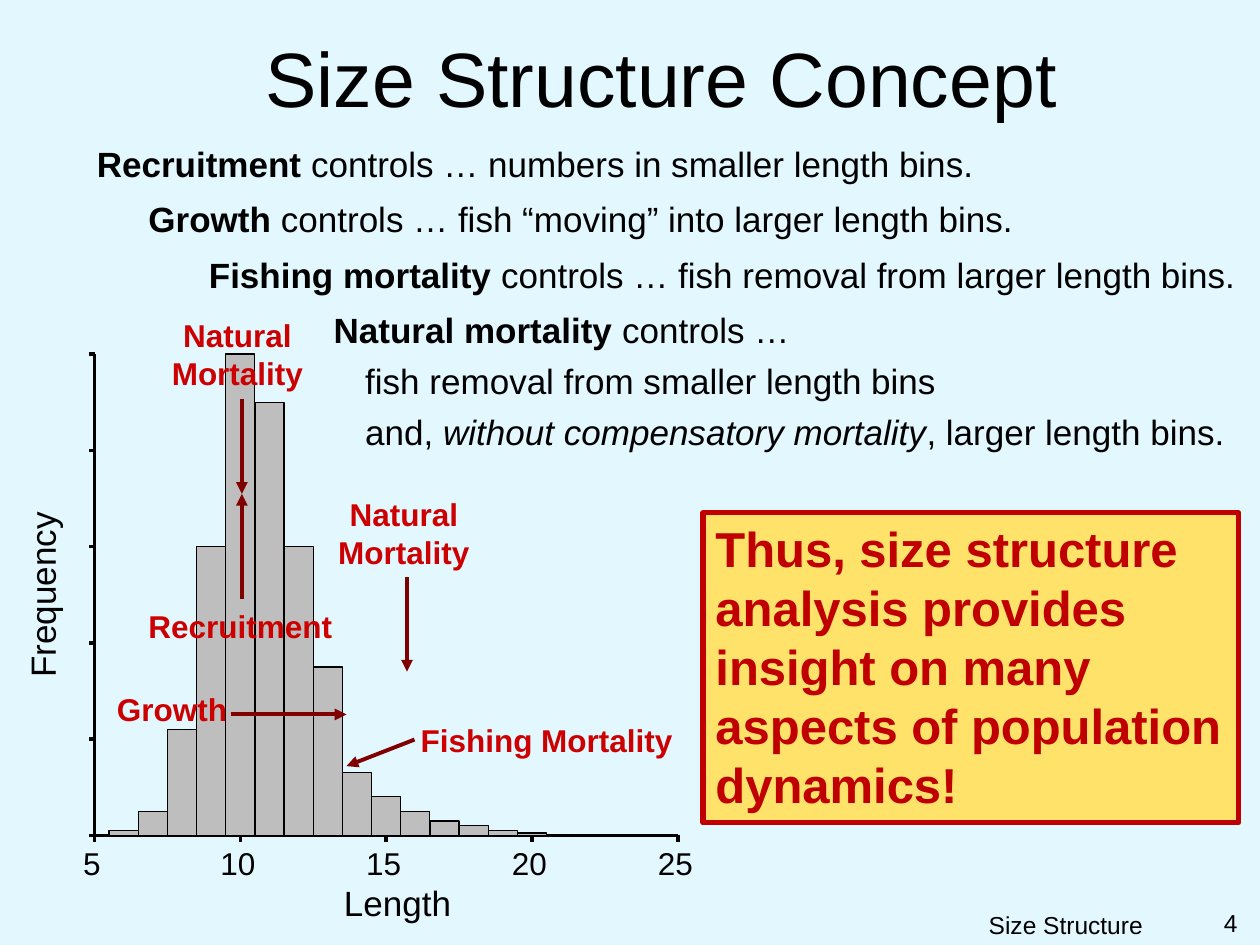
from pptx import Presentation
from pptx.dml.color import RGBColor
from pptx.enum.shapes import MSO_CONNECTOR, MSO_SHAPE
from pptx.enum.text import MSO_ANCHOR, PP_ALIGN
from pptx.oxml.ns import qn
from pptx.util import Inches, Pt

LEFT, CENTER, RIGHT = PP_ALIGN.LEFT, PP_ALIGN.CENTER, PP_ALIGN.RIGHT
TOP, MIDDLE = MSO_ANCHOR.TOP, MSO_ANCHOR.MIDDLE
STRAIGHT, RECT = MSO_CONNECTOR.STRAIGHT, MSO_SHAPE.RECTANGLE

FONT = "Arial"
BLACK, RED, MAROON, BRICK = "000000", "CC0000", "800000", "C00000"
SKY, GRAY, GOLD = "E2F7FE", "BEBEBE", "FFE269"

# Frequency of each length bin, from 6 upward, relative to the mode
COUNTS = [1, 5, 22, 60, 100, 90, 60, 35, 13, 8, 5, 3, 2, 1, 0.5, 0.2]
FIRST_BIN = 6
AXIS_X, BASE_Y = 0.75, 6.63
BIN_W, UNIT_H = 0.2315, 0.0382

CONTROLS = [
    (0.67, 1.08, 7.33, "Recruitment", " controls … numbers in smaller length bins."),
    (1.08, 1.52, 7.08, "Growth", " controls … fish “moving” into larger length bins."),
    (1.56, 1.96, 8.44, "Fishing mortality",
     " controls … fish removal from larger length bins."),
]

LABELS = [
    (1.08, 4.77, 1.67, 0.4, "Recruitment", LEFT),
    (0.83, 5.43, 1.2, 0.4, "Growth", LEFT),
    (3.24, 5.67, 2.25, 0.4, "Fishing Mortality", LEFT),
    (1.25, 2.46, 1.27, 0.71, "Natural Mortality", CENTER),
    (2.57, 3.88, 1.27, 0.71, "Natural Mortality", CENTER),
]

ARROWS = [
    (1.92, 4.75, 1.92, 3.92),
    (1.83, 5.67, 2.75, 5.67),
    (3.29, 5.87, 2.75, 6.08),
    (1.92, 3.17, 1.92, 3.92),
    (3.23, 4.58, 3.23, 5.33),
]


def rgb(code):
    return RGBColor.from_string(code)


def style(para, size, color=BLACK, bold=None, align=LEFT):
    para.alignment = align
    font = para.font
    font.name, font.size, font.bold = FONT, Pt(size), bold
    font.color.rgb = rgb(color)


def add_runs(para, *parts):
    """Add (text, bold, italic) parts to a paragraph."""
    for text, bold, italic in parts:
        run = para.add_run()
        run.text = text
        run.font.bold, run.font.italic = bold, italic


def add_box(slide, x, y, w, h, inset=True):
    box = slide.shapes.add_textbox(Inches(x), Inches(y), Inches(w), Inches(h))
    frame = box.text_frame
    frame.word_wrap = True
    if not inset:
        frame.margin_left = frame.margin_right = 0
        frame.margin_top = frame.margin_bottom = 0
    return box


def add_text(slide, x, y, w, h, text, size, color=BLACK, bold=None,
             align=LEFT, inset=True):
    box = add_box(slide, x, y, w, h, inset)
    para = box.text_frame.paragraphs[0]
    para.text = text
    style(para, size, color, bold, align)
    return box


def add_rect(slide, x, y, w, h, fill, line, width):
    rect = slide.shapes.add_shape(RECT, Inches(x), Inches(y), Inches(w), Inches(h))
    rect.shadow.inherit = False
    rect.fill.solid()
    rect.fill.fore_color.rgb = rgb(fill)
    rect.line.color.rgb = rgb(line)
    rect.line.width = Pt(width)
    return rect


def add_line(slide, x1, y1, x2, y2, color=BLACK, width=0, arrow=False):
    line = slide.shapes.add_connector(
        STRAIGHT, Inches(x1), Inches(y1), Inches(x2), Inches(y2))
    line.line.color.rgb = rgb(color)
    line.line.width = Pt(width)
    props = line._element.spPr
    if arrow:
        ln = props.find(qn("a:ln"))
        ln.append(ln.makeelement(qn("a:tailEnd"), {"type": "triangle"}))
    props.append(props.makeelement(qn("a:effectLst"), {}))


def add_title(slide, text):
    title = slide.shapes.title
    title.left, title.top = Inches(0.07), Inches(0.13)
    title.width, title.height = Inches(9.86), Inches(0.95)
    title.text_frame.vertical_anchor = MIDDLE
    para = title.text_frame.paragraphs[0]
    para.text = text
    style(para, 44, align=CENTER)


def length_x(length):
    return AXIS_X + (length - 5) * BIN_W


def add_axes(slide):
    top = BASE_Y - 100 * UNIT_H
    add_line(slide, AXIS_X, BASE_Y, length_x(25), BASE_Y)
    add_line(slide, AXIS_X, BASE_Y, AXIS_X, top)
    for length in range(5, 26, 5):
        x = length_x(length)
        add_line(slide, x, BASE_Y, x, BASE_Y + 0.05)
        add_text(slide, x - 0.22, 6.7, 0.4, 0.3, str(length), 18,
                 align=CENTER, inset=False)
    for count in range(0, 101, 20):
        y = BASE_Y - count * UNIT_H
        add_line(slide, AXIS_X, y, AXIS_X - 0.04, y)
    add_text(slide, 2.73, 7, 0.9, 0.34, "Length", 20, inset=False)
    name = add_text(slide, -0.33, 4.55, 1.33, 0.34, "Frequency", 20,
                    align=CENTER, inset=False)
    name.rotation = 270


def add_bars(slide):
    for size, count in enumerate(COUNTS, FIRST_BIN):
        tall = count * UNIT_H
        add_rect(slide, length_x(size - 0.5), BASE_Y - tall, BIN_W, tall,
                 GRAY, BLACK, 0)


def add_controls(slide):
    for x, y, w, lead, rest in CONTROLS:
        para = add_box(slide, x, y, w, 0.44).text_frame.paragraphs[0]
        style(para, 20)
        add_runs(para, (lead, True, None), (rest, None, None))


def add_natural(slide):
    frame = add_box(slide, 2.55, 2.4, 7.28, 1.25).text_frame
    head = frame.paragraphs[0]
    style(head, 20)
    add_runs(head, ("Natural mortality", True, None), (" controls …", None, None))
    details = [
        [("fish removal from smaller length bins", None, None)],
        [("and, ", None, None),
         ("without compensatory mortality", None, True),
         (", larger length bins.", None, None)],
    ]
    for parts in details:
        para = frame.add_paragraph()
        style(para, 20)
        para.space_before = Pt(5)
        para._p.get_or_add_pPr().set("marL", str(Inches(0.25)))
        add_runs(para, *parts)


def add_callout(slide, text):
    rect = add_rect(slide, 5.58, 4.07, 4.25, 2.46, GOLD, BRICK, 3)
    frame = rect.text_frame
    frame.word_wrap = True
    frame.vertical_anchor = TOP
    para = frame.paragraphs[0]
    para.text = text
    style(para, 28, BRICK, True)


def main():
    deck = Presentation()
    deck.slide_width, deck.slide_height = Inches(10), Inches(7.5)
    slide = deck.slides.add_slide(deck.slide_layouts[5])
    slide.background.fill.solid()
    slide.background.fill.fore_color.rgb = rgb(SKY)

    add_title(slide, "\tSize Structure Concept")
    add_text(slide, 6, 7.17, 3.17, 0.25, "Size Structure", 14, align=RIGHT)
    add_text(slide, 9.25, 7.16, 0.67, 0.34, "4", 14, align=RIGHT)
    add_axes(slide)
    add_bars(slide)
    for x, y, w, h, text, align in LABELS:
        add_text(slide, x, y, w, h, text, 18, RED, True, align)
    for ends in ARROWS:
        add_line(slide, *ends, MAROON, 2.25, arrow=True)
    add_controls(slide)
    add_natural(slide)
    add_callout(slide, "Thus, size structure analysis provides insight on many "
                       "aspects of population dynamics!")
    deck.save("out.pptx")


if __name__ == "__main__":
    main()
